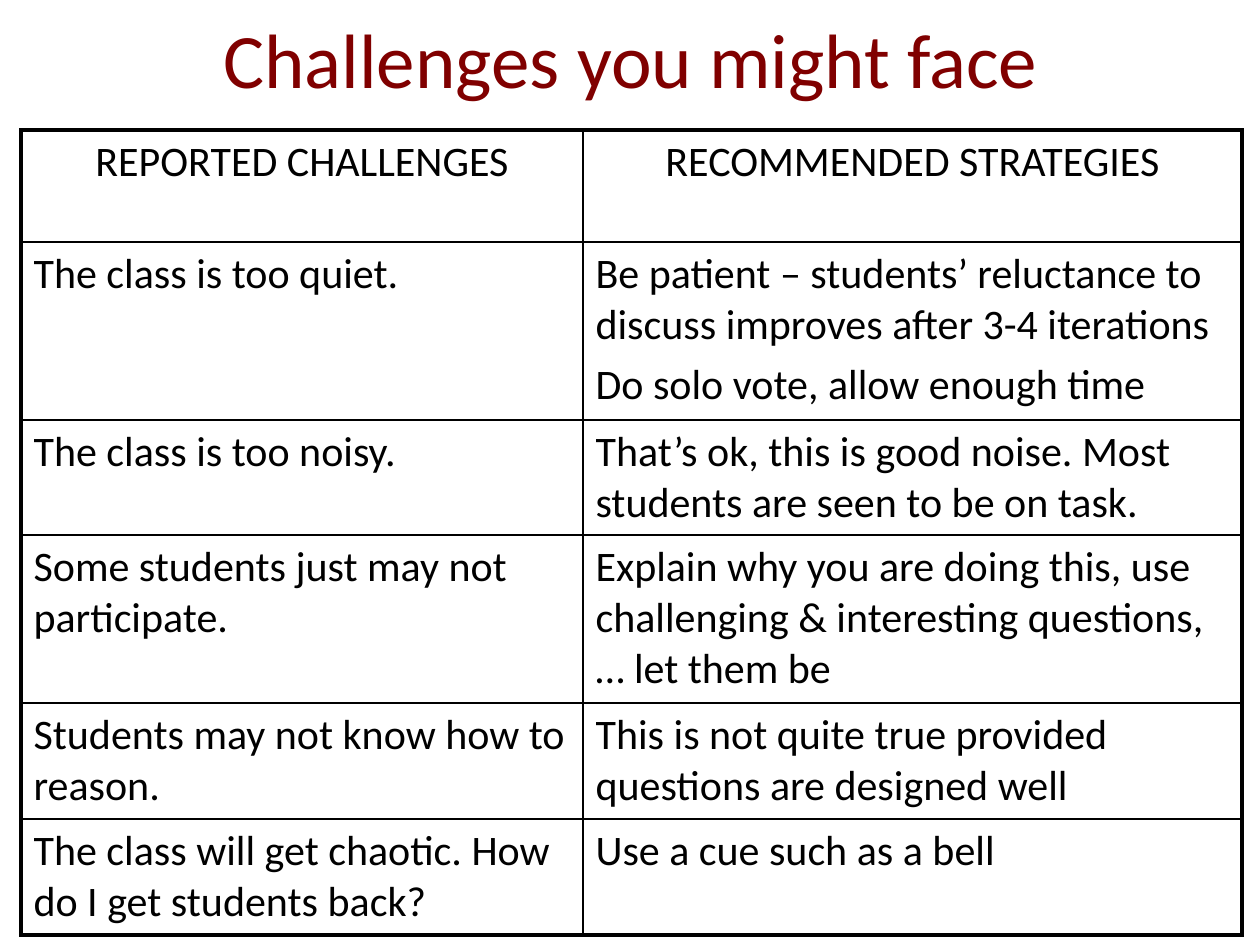
"""Build a slide that pairs classroom challenges with recommended strategies."""
from lxml import etree
from pptx import Presentation
from pptx import util as u
from pptx.dml.color import RGBColor
from pptx.enum import text
from pptx.oxml.ns import qn

TITLE = "Challenges you might face"
ROWS = [
    (["REPORTED CHALLENGES"], ["RECOMMENDED STRATEGIES"]),
    (["The class is too quiet."],
     ["Be patient – students’ reluctance to discuss improves after 3-4 iterations",
      "Do solo vote, allow enough time"]),
    (["The class is too noisy."],
     ["That’s ok, this is good noise. Most students are seen to be on task."]),
    (["Some students just may not participate."],
     ["Explain why you are doing this, use challenging & interesting questions, … let them be"]),
    (["Students may not know how to reason."],
     ["This is not quite true provided questions are designed well"]),
    (["The class will get chaotic. How do I get students back?"],
     ["Use a cue such as a bell"]),
]
COLUMN_WIDTHS = [562, 659]
ROW_HEIGHTS = [112, 178, 115, 168, 116, 116]
TITLE_BOX = (64, 0, 1134, 116)
TABLE_CORNER = (21, 130)
COLORS = {"title": "800000", "ink": "000000"}
FONT = "Calibri"
OUTER, INNER = 2.25, 1


def px(value):
    return u.Emu(round(value * 914400 / 126))


def add_span(para, words, size, color):
    span = para.add_run()
    span.text = words
    span.font.name = FONT
    span.font.size = u.Pt(size)
    span.font.color.rgb = RGBColor.from_string(COLORS[color])


def add_border(cell, side, width):
    properties = cell._tc.get_or_add_tcPr()
    line = etree.SubElement(properties, qn(f"a:ln{side}"), w=str(u.Pt(width)))
    fill = etree.SubElement(line, qn("a:solidFill"))
    etree.SubElement(fill, qn("a:srgbClr"), val=COLORS["ink"])


def fill_cell(cell, paragraphs, centered):
    frame = cell.text_frame
    for index, words in enumerate(paragraphs):
        para = frame.add_paragraph() if index else frame.paragraphs[0]
        para.alignment = text.PP_ALIGN.CENTER if centered else text.PP_ALIGN.LEFT
        if index:
            para.space_before = u.Pt(4.8)
        add_span(para, words, 24, "ink")


def add_title(page):
    title = page.shapes.title
    title.left, title.top, title.width, title.height = map(px, TITLE_BOX)
    title.text_frame.vertical_anchor = text.MSO_ANCHOR.MIDDLE
    para = title.text_frame.paragraphs[0]
    para.alignment = text.PP_ALIGN.CENTER
    add_span(para, TITLE, 44, "title")


def add_strategy_table(page):
    size = (sum(COLUMN_WIDTHS), sum(ROW_HEIGHTS))
    table = page.shapes.add_table(
        len(ROWS), len(COLUMN_WIDTHS), *map(px, TABLE_CORNER + size)).table
    table.first_row = table.horz_banding = False
    for column, width in zip(table.columns, COLUMN_WIDTHS):
        column.width = px(width)
    for row, height in zip(table.rows, ROW_HEIGHTS):
        row.height = px(height)
    last_row, last_column = len(ROWS) - 1, len(COLUMN_WIDTHS) - 1
    for r, entries in enumerate(ROWS):
        for c, paragraphs in enumerate(entries):
            cell = table.cell(r, c)
            edges = {"L": c == 0, "R": c == last_column,
                     "T": r == 0, "B": r == last_row}
            for side, is_outer in edges.items():
                add_border(cell, side, OUTER if is_outer else INNER)
            cell.fill.background()
            fill_cell(cell, paragraphs, r == 0)


def main():
    deck = Presentation()
    deck.slide_width, deck.slide_height = px(1260), px(945)
    page = deck.slides.add_slide(deck.slide_layouts.get_by_name("Title Only"))
    add_title(page)
    add_strategy_table(page)
    deck.save("out.pptx")


if __name__ == "__main__":
    main()
